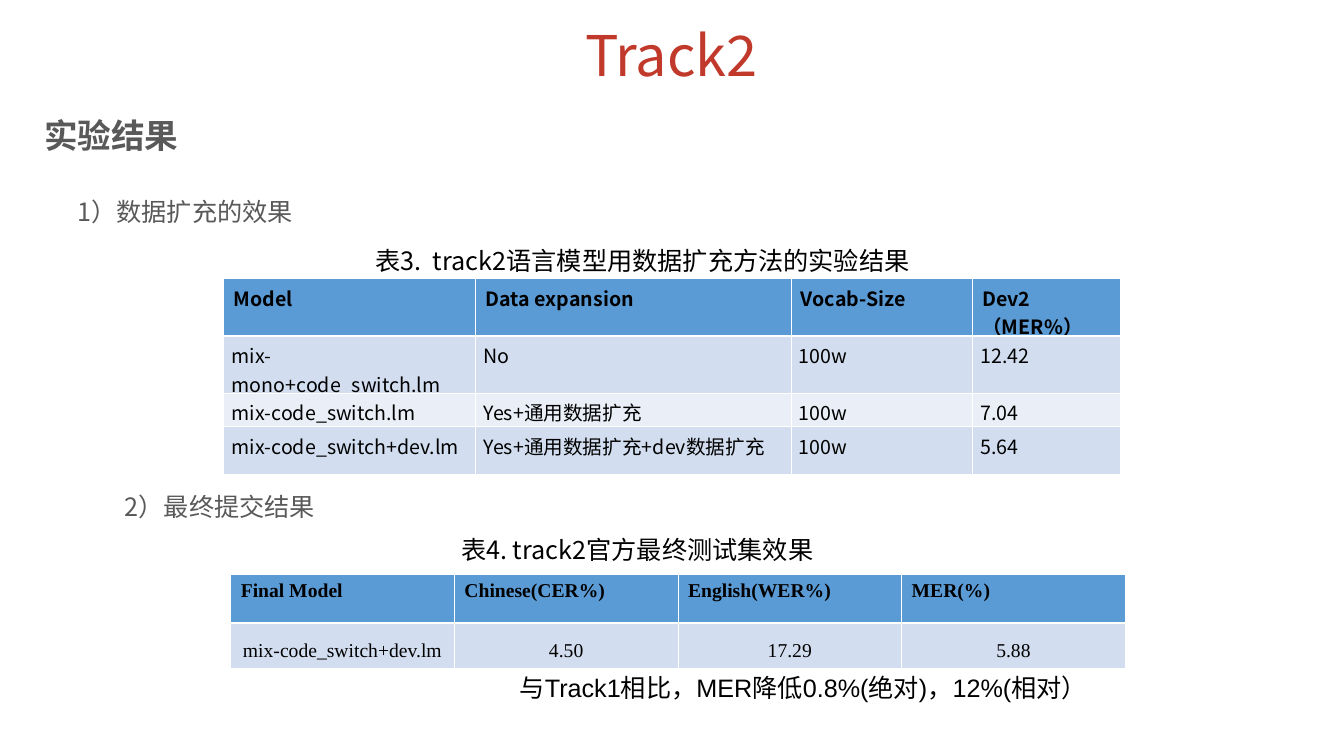
import pptx
import pptx.dml.color
import pptx.enum.text
import pptx.oxml
import pptx.oxml.ns
import pptx.util

Inches = pptx.util.Inches
Pt = pptx.util.Pt
ALIGN = pptx.enum.text.PP_ALIGN
ANCHOR = pptx.enum.text.MSO_ANCHOR
qn = pptx.oxml.ns.qn

COLORS = {
    "title": "C1392B", "heading": "595959", "text": "000000", "border": "FFFFFF",
    "header": "5B9BD5", "band_dark": "D2DEEF", "band_light": "EAEFF7",
}
SANS = "Noto Sans CJK JP"


def format_paragraph(paragraph, size, color, font=SANS, bold=False):
    """Format every run, with the sans font for East Asian characters."""
    for run in paragraph.runs:
        run.font.size = Pt(size)
        run.font.bold = bold
        run.font.name = font
        run.font.color.rgb = pptx.dml.color.RGBColor.from_string(COLORS[color])
        east_asian = pptx.oxml.parse_xml(
            f'<a:ea {pptx.oxml.ns.nsdecls("a")} typeface="{SANS}"/>')
        run.font._element.find(qn("a:latin")).addnext(east_asian)


def set_borders(cell, top, bottom):
    """Draw the cell borders; top and bottom are widths in points."""
    properties = cell._tc.get_or_add_tcPr()
    widths = {"lnL": 0.45, "lnR": 0.45, "lnT": top, "lnB": bottom}
    for position, (side, width) in enumerate(widths.items()):
        line = pptx.oxml.parse_xml(
            f'<a:{side} {pptx.oxml.ns.nsdecls("a")} w="{Pt(width)}"><a:solidFill>'
            f'<a:srgbClr val="{COLORS["border"]}"/></a:solidFill></a:{side}>')
        properties.insert(position, line)


presentation = pptx.Presentation()
presentation.slide_width = Inches(13.34)
presentation.slide_height = Inches(7.5)
slide = presentation.slides.add_slide(presentation.slide_layouts[5])

title = slide.shapes.title
title.left, title.top = Inches(1.86), Inches(0.23)
title.width, title.height = Inches(9.61), Inches(0.7)
title.text_frame.text = "Track2"
title.text_frame.vertical_anchor = ANCHOR.MIDDLE
title_paragraph = title.text_frame.paragraphs[0]
title_paragraph.alignment = ALIGN.CENTER
title_paragraph.line_spacing = 0.9
format_paragraph(title_paragraph, 40, "title")

# left, top, width, height, text, size, color, font, bold
labels = [
    (0.34, 1.09, 10, 0.5, "实验结果", 24, "heading", SANS, True),
    (0.67, 1.9, 2.4, 0.4, "1）数据扩充的效果", 18, "heading", SANS, False),
    (3.63, 2.38, 6.07, 0.4, "表3.  track2语言模型用数据扩充方法的实验结果", 18, "text", SANS, False),
    (1.14, 4.83, 2.16, 0.4, "2）最终提交结果", 18, "heading", SANS, False),
    (4.48, 5.25, 4.17, 0.4, "表4. track2官方最终测试集效果", 18, "text", SANS, False),
    (5.06, 6.62, 6.44, 0.4, "与Track1相比，MER降低0.8%(绝对)，12%(相对）", 18, "text", "Arial", False),
]
for left, top, width, height, text, size, color, font, bold in labels:
    label = slide.shapes.add_textbox(Inches(left), Inches(top), Inches(width), Inches(height))
    label.text_frame.word_wrap = bold
    label.text_frame.text = text
    format_paragraph(label.text_frame.paragraphs[0], size, color, font, bold)

expansion_rows = [
    ["Model", "Data expansion", "Vocab-Size", "Dev2 （MER%）"],
    ["mix-mono+code_switch.lm", "No", "100w", "12.42"],
    ["mix-code_switch.lm", "Yes+通用数据扩充", "100w", "7.04"],
    ["mix-code_switch+dev.lm", "Yes+通用数据扩充+dev数据扩充", "100w", "5.64"],
]
final_rows = [
    ["Final Model", "Chinese(CER%)", "English(WER%)", "MER(%)"],
    ["mix-code_switch+dev.lm", "4.50", "17.29", "5.88"],
]
# left, top, column widths, row heights, rows, font, whether body cells are centred
tables = [
    (2.22, 2.76, [2.5, 3.13, 1.8, 1.47], [0.57, 0.57, 0.33, 0.47], expansion_rows, SANS, False),
    (2.29, 5.7, [2.22] * 4, [0.48, 0.45], final_rows, "Times New Roman", True),
]
for left, top, widths, heights, rows, font, centred in tables:
    table = slide.shapes.add_table(
        len(rows), len(widths), Inches(left), Inches(top),
        Inches(sum(widths)), Inches(sum(heights))).table
    for column, width in zip(table.columns, widths):
        column.width = Inches(width)
    for row_index, (values, height) in enumerate(zip(rows, heights)):
        table.rows[row_index].height = Inches(height)
        is_header = row_index == 0
        band = "band_dark" if row_index % 2 else "band_light"
        for column_index, value in enumerate(values):
            cell = table.cell(row_index, column_index)
            cell.margin_left = cell.margin_right = Inches(0.1 if is_header else 0.08)
            cell.fill.solid()
            cell.fill.fore_color.rgb = pptx.dml.color.RGBColor.from_string(
                COLORS["header" if is_header else band])
            set_borders(cell, 1.47 if row_index == 1 else 0.45, 1.47 if is_header else 0.45)
            cell.text_frame.text = value
            paragraph = cell.text_frame.paragraphs[0]
            paragraph.alignment = ALIGN.JUSTIFY
            if centred and not is_header:
                cell.vertical_anchor = ANCHOR.MIDDLE
                paragraph.alignment = ALIGN.CENTER
                paragraph.line_spacing = 1.5
            format_paragraph(paragraph, 14, "text", font, is_header)

presentation.save("out.pptx")
